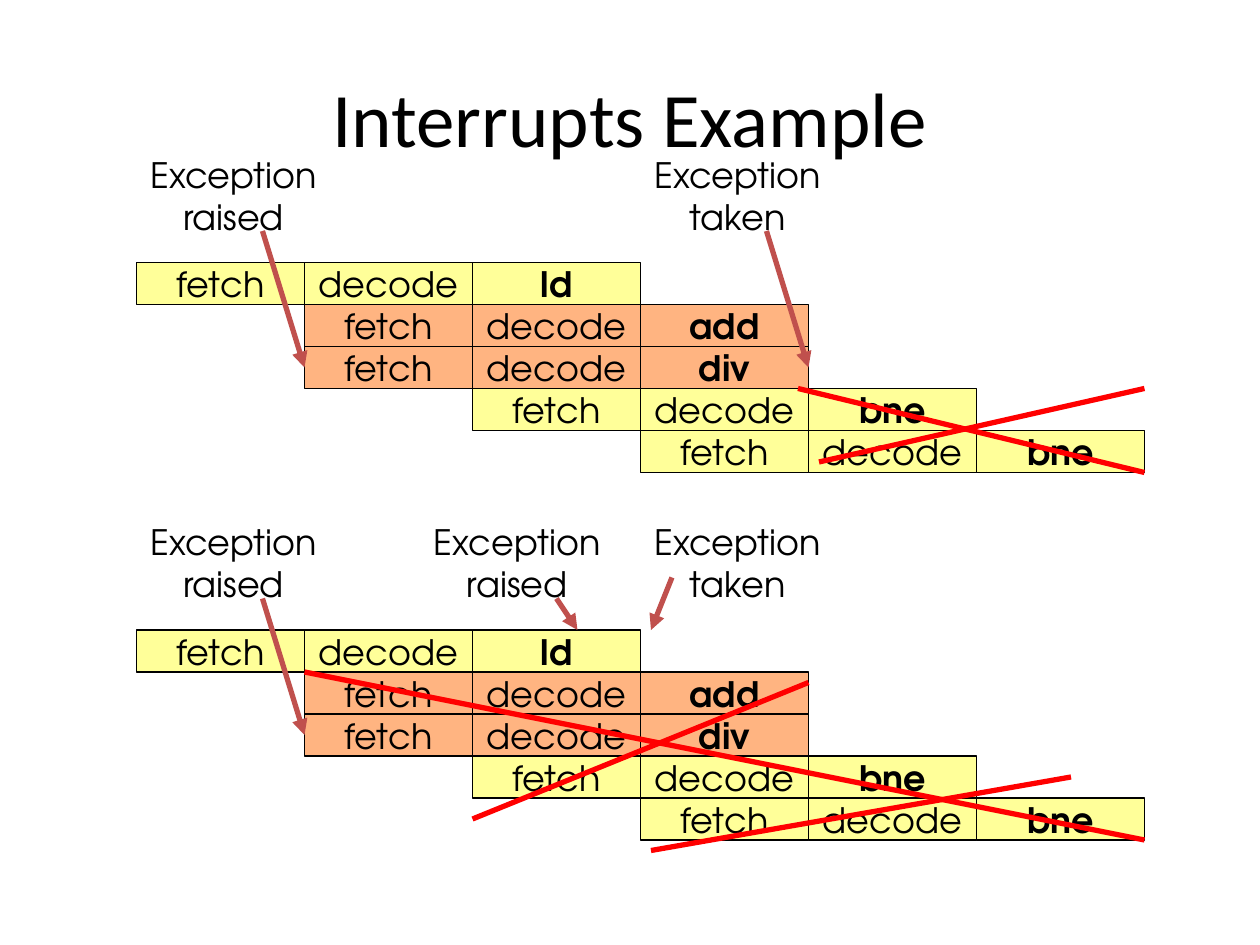
"""Build the Interrupts Example slide: two pipelines with exceptions and flushed work."""
from lxml import etree
from pptx import Presentation
from pptx.dml.color import RGBColor
from pptx.enum.shapes import MSO_CONNECTOR, MSO_SHAPE
from pptx.enum.text import MSO_ANCHOR, PP_ALIGN
from pptx.oxml.ns import qn
from pptx.util import Pt

RECTANGLE, STRAIGHT = MSO_SHAPE.RECTANGLE, MSO_CONNECTOR.STRAIGHT
CENTER, MIDDLE, TOP = PP_ALIGN.CENTER, MSO_ANCHOR.MIDDLE, MSO_ANCHOR.TOP
LEFT_SIDE, RIGHT_SIDE = 1, 3

PX = 914400 // 120
COLORS = {"text": "000000", "yellow": "FFFF99", "orange": "FFB481",
          "arrow": "C0504D", "strike": "FF0000"}
TITLE_FONT, BODY_FONT = "Calibri", "TeX Gyre Adventor"

TITLE = "Interrupts Example"
INSTRUCTIONS = [("ld", 0, "yellow"), ("add", 1, "orange"), ("div", 1, "orange"),
                ("bne", 2, "yellow"), ("bne", 3, "yellow")]
DIV_ROW = 2
RAISED, TAKEN = "Exception\nraised", "Exception\ntaken"
PIPELINES = [
    {"top": 250,
     "labels": [(RAISED, 130), (TAKEN, 610)],
     "joined_arrows": [((250, -30), 0, LEFT_SIDE), ((730, -30), 2, RIGHT_SIDE)],
     "free_arrows": [],
     "strikes": [((760, 120), (1090, 200)), ((780, 190), (1090, 120))]},
    {"top": 600,
     "labels": [(RAISED, 130), (RAISED, 400), (TAKEN, 610)],
     "joined_arrows": [((250, -30), 0, LEFT_SIDE)],
     "free_arrows": [((640, -50), (620, 0)), ((530, -30), (550, 0))],
     "strikes": [((290, 40), (1090, 200)), ((450, 180), (770, 50)),
                 ((620, 210), (1020, 140))]},
]
CELL_LEFT, CELL_WIDTH, CELL_HEIGHT = 130, 160, 40
LABEL_RISE, LABEL_WIDTH, LABEL_HEIGHT = 110, 185, 92


def rgb(name):
    return RGBColor.from_string(COLORS[name])


def write(shape, text, size=20, font=BODY_FONT, bold=False, anchor=MIDDLE, wrap=False):
    frame = shape.text_frame
    frame.text = text
    frame.word_wrap = wrap
    frame.vertical_anchor = anchor
    for paragraph in frame.paragraphs:
        paragraph.alignment = CENTER
        for run in paragraph.runs:
            run.font.name, run.font.size, run.font.bold = font, Pt(size), bold
            run.font.color.rgb = rgb("text")


def add_text(slide, text, left, top, width, height, **style):
    box = slide.shapes.add_textbox(left * PX, top * PX, width * PX, height * PX)
    write(box, text, **style)


def add_stage(slide, text, column, top, color, bold):
    left = CELL_LEFT + column * CELL_WIDTH
    stage = slide.shapes.add_shape(RECTANGLE, left * PX, top * PX,
                                   CELL_WIDTH * PX, CELL_HEIGHT * PX)
    stage.shadow.inherit = False
    stage.fill.solid()
    stage.fill.fore_color.rgb = rgb(color)
    stage.line.color.rgb = rgb("text")
    stage.line.width = Pt(0.75)
    write(stage, text, bold=bold)
    return stage


def add_line(slide, top, start, end, color):
    line = slide.shapes.add_connector(STRAIGHT, start[0] * PX, (top + start[1]) * PX,
                                      end[0] * PX, (top + end[1]) * PX)
    line.line.color.rgb = rgb(color)
    line.line.width = Pt(3)
    if color == "arrow":
        etree.SubElement(line.line._get_or_add_ln(), qn("a:tailEnd"), type="triangle")
    etree.SubElement(line._element.spPr, qn("a:effectLst"))
    return line


def add_pipeline(slide, pipeline):
    top = pipeline["top"]
    stages = []
    for row, (operation, delay, color) in enumerate(INSTRUCTIONS):
        stages.append([
            add_stage(slide, text, delay + step, top + row * CELL_HEIGHT, color, step == 2)
            for step, text in enumerate(("fetch", "decode", operation))])
    for start, step, side in pipeline["joined_arrows"]:
        arrow = add_line(slide, top, start, start, "arrow")
        arrow.end_connect(stages[DIV_ROW][step], side)
    for start, end in pipeline["free_arrows"]:
        add_line(slide, top, start, end, "arrow")
    for text, left in pipeline["labels"]:
        add_text(slide, text, left, top - LABEL_RISE, LABEL_WIDTH, LABEL_HEIGHT, anchor=TOP)
    for start, end in pipeline["strikes"]:
        add_line(slide, top, start, end, "strike")


def main():
    deck = Presentation()
    deck.slide_width, deck.slide_height = 1200 * PX, 900 * PX
    slide = deck.slides.add_slide(deck.slide_layouts[6])
    add_text(slide, TITLE, 60, 36, 1080, 150, size=44, font=TITLE_FONT, wrap=True)
    for pipeline in PIPELINES:
        add_pipeline(slide, pipeline)
    deck.save("out.pptx")


if __name__ == "__main__":
    main()
